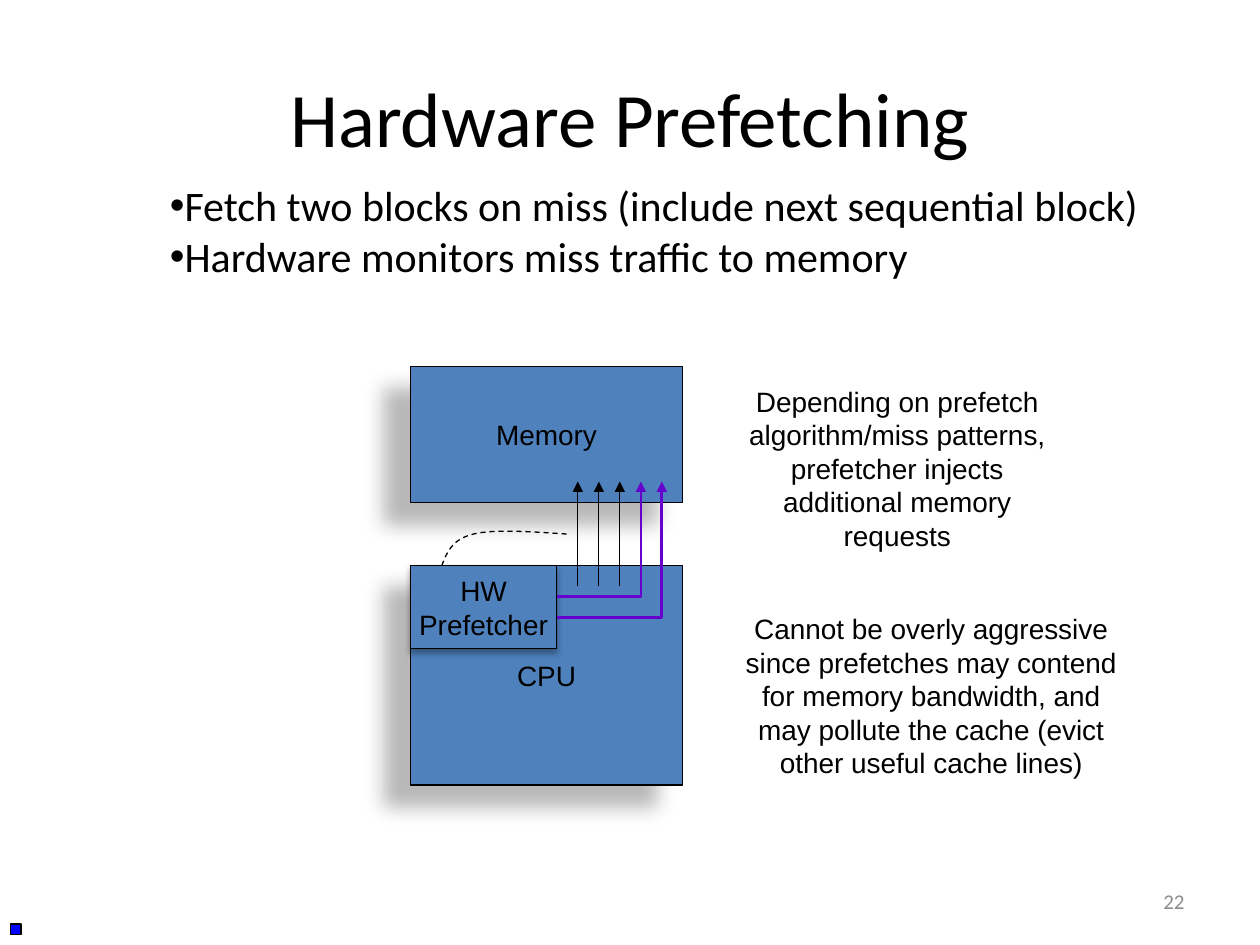
from lxml import etree
from pptx import Presentation
from pptx.dml.color import RGBColor
from pptx.enum.dml import MSO_LINE
from pptx.enum.shapes import MSO_CONNECTOR, MSO_SHAPE
from pptx.enum.text import MSO_ANCHOR, PP_ALIGN
from pptx.oxml.ns import qn
from pptx.util import Pt

RECTANGLE, STRAIGHT = MSO_SHAPE.RECTANGLE, MSO_CONNECTOR.STRAIGHT
LEFT, CENTER, RIGHT = PP_ALIGN.LEFT, PP_ALIGN.CENTER, PP_ALIGN.RIGHT
TOP, MIDDLE = MSO_ANCHOR.TOP, MSO_ANCHOR.MIDDLE
DASH = MSO_LINE.DASH

THEME = {
    "black": "000000", "block": "4F81BD", "prefetch": "6600CC",
    "marker": "0000FF", "grey": "8C8C8C",
    "heading": "Calibri", "label": "Arial",
    "title size": 44, "bullet size": 24, "label size": 16, "number size": 12,
    "thin": 0.75, "thick": 1.5,
}

# Content: boxes are left, top, width, height in points
TITLE = "Hardware Prefetching"
BULLETS = ["Fetch two blocks on miss (include next sequential block)",
           "Hardware monitors miss traffic to memory"]
DEEP_SHADOW = (28, 11.8, 19.7, 141)  # opacity %, blur, distance, degrees
SOFT_SHADOW = (32, 3.5, 2.2, 90)
BLOCKS = [
    (["Memory"], (234.5, 209.4, 155.6, 77.6), DEEP_SHADOW),
    (["CPU"], (234.5, 323.2, 155.6, 125.4), DEEP_SHADOW),
    (["HW", "Prefetcher"], (234.5, 323.2, 83.6, 47.4), SOFT_SHADOW),
]
NOTES = [
    (["Depending on prefetch", "algorithm/miss patterns,", "prefetcher injects",
      "additional memory", "requests"], (419.6, 216, 186.2, 104.4)),
    (["Cannot be overly aggressive", "since prefetches may contend",
      "for memory bandwidth, and", "may pollute the cache (evict",
      "other useful cache lines)"], (417.6, 345.9, 229, 104.4)),
]
MISS_COUNT, PREFETCH_COUNT = 3, 2
LANE_LEFT, LANE_GAP = 330.2, 12
ARROW_TOP, MISS_BOTTOM = 275.2, 335
PREFETCH_LEFT, PREFETCH_TOP = 318.1, 341
# Start point, then two control points and an end point per curve
MONITOR_CURVE = [(252.5, 323.2), (255.5, 315.2), (258.5, 308.2), (270.5, 305.2),
                 (282.2, 302.3), (303.2, 303.8), (324, 305.2)]


def colour(name):
    return RGBColor.from_string(THEME[name])


def points(values):
    return [Pt(value) for value in values]


def write(frame, lines, font, size, align=CENTER, anchor=TOP, ink="black",
          wrap=True, bullet=False):
    frame.word_wrap = wrap
    frame.vertical_anchor = anchor
    for index, line in enumerate(lines):
        para = frame.paragraphs[0] if index == 0 else frame.add_paragraph()
        para.alignment = align
        if bullet:
            props = para._p.get_or_add_pPr()
            etree.SubElement(props, qn("a:buFont"), typeface="Arial")
            etree.SubElement(props, qn("a:buChar"), char="•")
        span = para.add_run()
        span.text = line
        span.font.name = THEME[font]
        span.font.size = Pt(THEME[size])
        span.font.color.rgb = colour(ink)


def add_text(page, place, lines, font, size, **options):
    frame = page.shapes.add_textbox(*points(place)).text_frame
    write(frame, lines, font, size, **options)
    return frame


def style_line(shape, ink="black", width="thin", arrow=False):
    shape.line.color.rgb = colour(ink)
    shape.line.width = Pt(THEME[width])
    if arrow:
        etree.SubElement(shape.line._get_or_add_ln(), qn("a:tailEnd"), type="triangle")


def add_box(page, place, fill):
    box = page.shapes.add_shape(RECTANGLE, *points(place))
    box.shadow.inherit = False
    box.fill.solid()
    box.fill.fore_color.rgb = colour(fill)
    style_line(box)
    return box


def add_shadow(box, opacity, blur, distance, degrees):
    effects = box._element.spPr.find(qn("a:effectLst"))
    shadow = etree.SubElement(
        effects, qn("a:outerShdw"), blurRad=str(Pt(blur)), dist=str(Pt(distance)),
        dir=str(degrees * 60000), algn="ctr", rotWithShape="0")
    ink = etree.SubElement(shadow, qn("a:srgbClr"), val=THEME["black"])
    etree.SubElement(ink, qn("a:alpha"), val=str(opacity * 1000))


def add_outline(page, corners):
    builder = page.shapes.build_freeform(*points(corners[0]))
    builder.add_line_segments([points(corner) for corner in corners[1:]], close=False)
    outline = builder.convert_to_shape()
    outline.shadow.inherit = False
    outline.fill.background()
    return outline


def bend(outline):
    """Turn each three straight segments into one cubic curve."""
    segments = list(outline._element.iter(qn("a:lnTo")))
    for start in range(0, len(segments), 3):
        curve = etree.Element(qn("a:cubicBezTo"))
        segments[start].addprevious(curve)
        for segment in segments[start:start + 3]:
            curve.append(segment[0])
            segment.getparent().remove(segment)


def main():
    deck = Presentation()
    deck.slide_width, deck.slide_height = Pt(720), Pt(540)
    page = deck.slides.add_slide(deck.slide_layouts[5])

    # Title
    title = page.shapes.title
    title.left, title.top, title.width, title.height = points((36, 21.6, 648, 90))
    write(title.text_frame, [TITLE], "heading", "title size", anchor=MIDDLE)

    # Memory, CPU and prefetcher
    for lines, place, shadow in BLOCKS:
        box = add_box(page, place, "block")
        add_shadow(box, *shadow)
        write(box.text_frame, lines, "label", "label size", anchor=MIDDLE, wrap=False)

    # Miss traffic
    for lane in range(MISS_COUNT):
        x = LANE_LEFT + lane * LANE_GAP
        arrow = page.shapes.add_connector(
            STRAIGHT, *points((x, MISS_BOTTOM, x, ARROW_TOP)))
        style_line(arrow, arrow=True)
        etree.SubElement(arrow._element.spPr, qn("a:effectLst"))

    # Monitoring link
    monitor = add_outline(page, MONITOR_CURVE)
    bend(monitor)
    style_line(monitor)
    monitor.line.dash_style = DASH

    # Injected prefetch requests
    for lane in range(PREFETCH_COUNT):
        x = LANE_LEFT + (MISS_COUNT + lane) * LANE_GAP
        y = PREFETCH_TOP + lane * LANE_GAP
        request = add_outline(page, [(PREFETCH_LEFT, y), (x, y), (x, ARROW_TOP)])
        style_line(request, "prefetch", "thick", arrow=True)

    # Notes beside the diagram
    for lines, place in NOTES:
        add_text(page, place, lines, "label", "label size", wrap=False)

    # Corner marker, bullets and page number
    add_box(page, (6, 528, 6, 6), "marker")
    bullets = add_text(page, (90, 102.2, 594, 62.6), BULLETS, "heading",
                       "bullet size", align=LEFT, bullet=True)
    bullets.paragraphs[0].line_spacing = 0.9
    add_text(page, (516, 500.5, 168, 28.8), ["22"], "heading", "number size",
             align=RIGHT, anchor=MIDDLE, ink="grey")

    deck.save("out.pptx")


if __name__ == "__main__":
    main()
